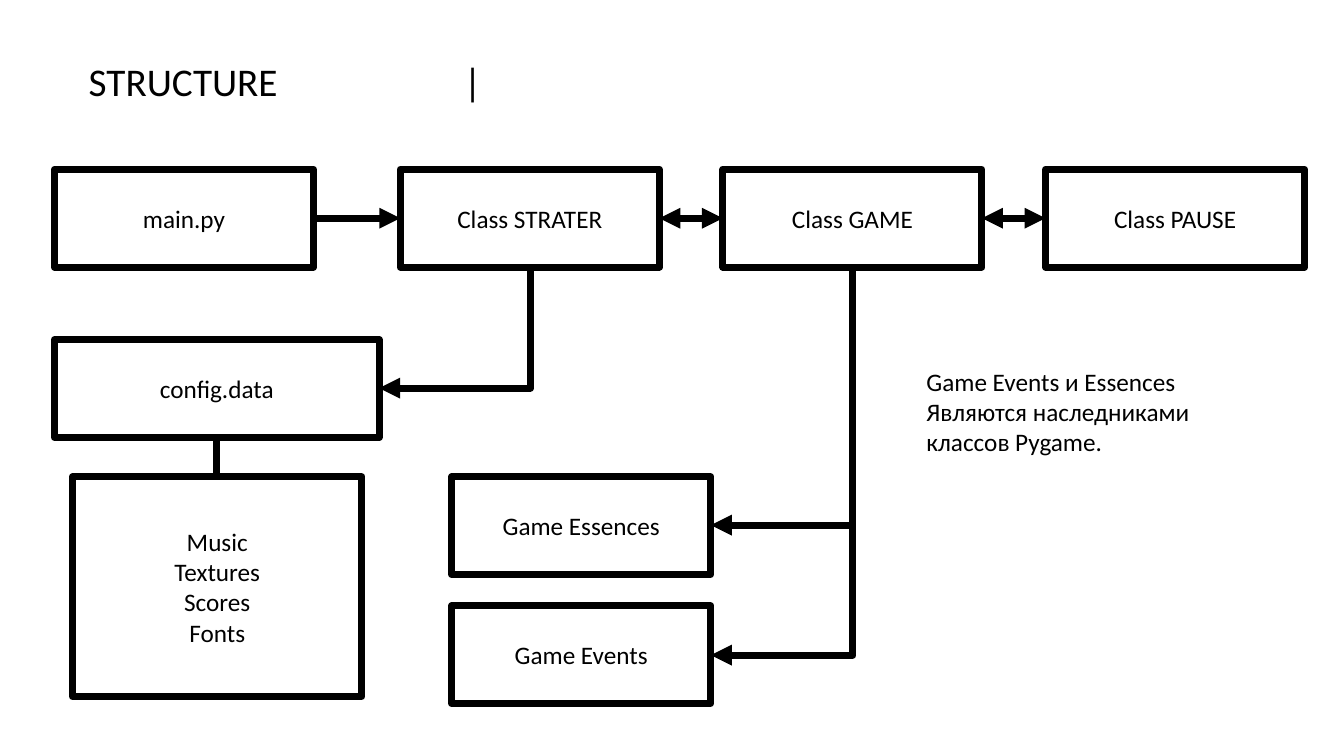
from dataclasses import dataclass

from lxml.etree import SubElement
from pptx import Presentation
from pptx.dml.color import RGBColor
from pptx.enum.shapes import MSO_CONNECTOR, MSO_SHAPE
from pptx.enum.text import MSO_ANCHOR, MSO_AUTO_SIZE, PP_ALIGN
from pptx.oxml.ns import qn
from pptx.util import Inches, Pt

COLORS = {"ink": "000000", "paper": "FFFFFF"}
INK = RGBColor.from_string(COLORS["ink"])
FONT = {"name": "Calibri", "bold": False}
FRAME = {"word_wrap": True, "auto_size": MSO_AUTO_SIZE.NONE}
BOX_W, BOX_H = 2.57, 0.97
TOP = 1.68
MID = TOP + BOX_H / 2
STROKE = Pt(5)


@dataclass
class Box:
    text: str
    left: float
    top: float = TOP
    width: float = BOX_W
    height: float = BOX_H


@dataclass
class Link:
    start: tuple[float, float]
    end: tuple[float, float]
    head: bool = False
    tail: bool = True


BOXES = [
    Box("main.py", 0.54),
    Box("Class STRATER", 3.97),
    Box("Class GAME", 7.17),
    Box("Class PAUSE", 10.37),
    Box("config.data", 0.54, 3.37, 3.22),
    Box("Music\nTextures\nScores\nFonts", 0.72, 4.73, 2.87, 2.18),
    Box("Game Essences", 4.48, 4.73),
    Box("Game Events", 4.48, 6.01),
]

LINKS = [
    Link((3.11, MID), (3.97, MID)),
    Link((6.54, MID), (7.17, MID), head=True),
    Link((9.74, MID), (10.37, MID), head=True),
    Link((2.15, 4.33), (2.15, 4.73), tail=False),
    Link((5.26, 2.64), (3.76, 3.85)),
    Link((8.46, 2.64), (7.05, 5.21)),
    Link((8.46, 3.93), (7.05, 6.5)),
]


def assign(target, values: dict) -> None:
    for name, value in values.items():
        setattr(target, name, value)


def write(shape, text: str, size: int, align=PP_ALIGN.LEFT,
          anchor=MSO_ANCHOR.TOP) -> None:
    frame = shape.text_frame
    frame.text = text
    assign(frame, FRAME | {"vertical_anchor": anchor})
    for para in frame.paragraphs:
        para.alignment = align
        assign(para.font, FONT | {"size": Pt(size)})
        para.font.color.rgb = INK


def place(shape, left: float, top: float, width: float, height: float) -> None:
    spot = {"left": left, "top": top, "width": width, "height": height}
    assign(shape, {name: Inches(value) for name, value in spot.items()})


def note(slide, text: str, size: int, *spot: float) -> None:
    area = slide.shapes.add_textbox(*map(Inches, spot))
    write(area, text, size)


def draw_box(slide, box: Box) -> None:
    spot = (box.left, box.top, box.width, box.height)
    shape = slide.shapes.add_shape(MSO_SHAPE.RECTANGLE, *map(Inches, spot))
    shape.shadow.inherit = False
    shape.fill.background()
    shape.line.color.rgb = INK
    shape.line.width = STROKE
    write(shape, box.text, 18, PP_ALIGN.CENTER, MSO_ANCHOR.MIDDLE)


def draw_link(slide, link: Link) -> None:
    (x1, y1), (x2, y2) = link.start, link.end
    bent = x1 != x2 and y1 != y2
    kind = MSO_CONNECTOR.STRAIGHT
    if bent:
        # A quarter turn sends the first leg down and the second one left
        kind = MSO_CONNECTOR.ELBOW
        mid_x, mid_y = (x1 + x2) / 2, (y1 + y2) / 2
        half_w, half_h = (y2 - y1) / 2, (x1 - x2) / 2
        x1, x2 = mid_x - half_w, mid_x + half_w
        y1, y2 = mid_y - half_h, mid_y + half_h
    line = slide.shapes.add_connector(kind, *map(Inches, (x1, y1, x2, y2)))
    line.line.color.rgb = INK
    line.line.width = STROKE
    props = line._element.spPr
    if bent:
        props.find(qn("a:xfrm")).set("rot", str(90 * 60000))
        props.find(qn("a:prstGeom")).set("prst", "bentConnector2")
    stroke = props.find(qn("a:ln"))
    for tag, shown in (("a:headEnd", link.head), ("a:tailEnd", link.tail)):
        if shown:
            SubElement(stroke, qn(tag), type="triangle")
    SubElement(props, qn("a:effectLst"))


def main() -> None:
    deck = Presentation()
    assign(deck, {"slide_width": Inches(13.33), "slide_height": Inches(7.5)})
    slide = deck.slides.add_slide(deck.slide_layouts[5])
    back = slide.background.fill
    back.solid()
    back.fore_color.rgb = RGBColor.from_string(COLORS["paper"])

    # Heading
    title = slide.shapes.title
    place(title, 0.78, 0.52, 3.93, 0.57)
    write(title, "STRUCTURE", 28)
    note(slide, "|", 28, 4.5, 0.52, 0.54, 0.57)

    # Diagram
    for box in BOXES:
        draw_box(slide, box)
    for link in LINKS:
        draw_link(slide, link)

    # Remark
    note(slide, "Game Events и Essences\nЯвляются наследниками классов Pygame.",
         18, 9.09, 3.58, 3.52, 1.92)

    deck.save("out.pptx")


if __name__ == "__main__":
    main()
